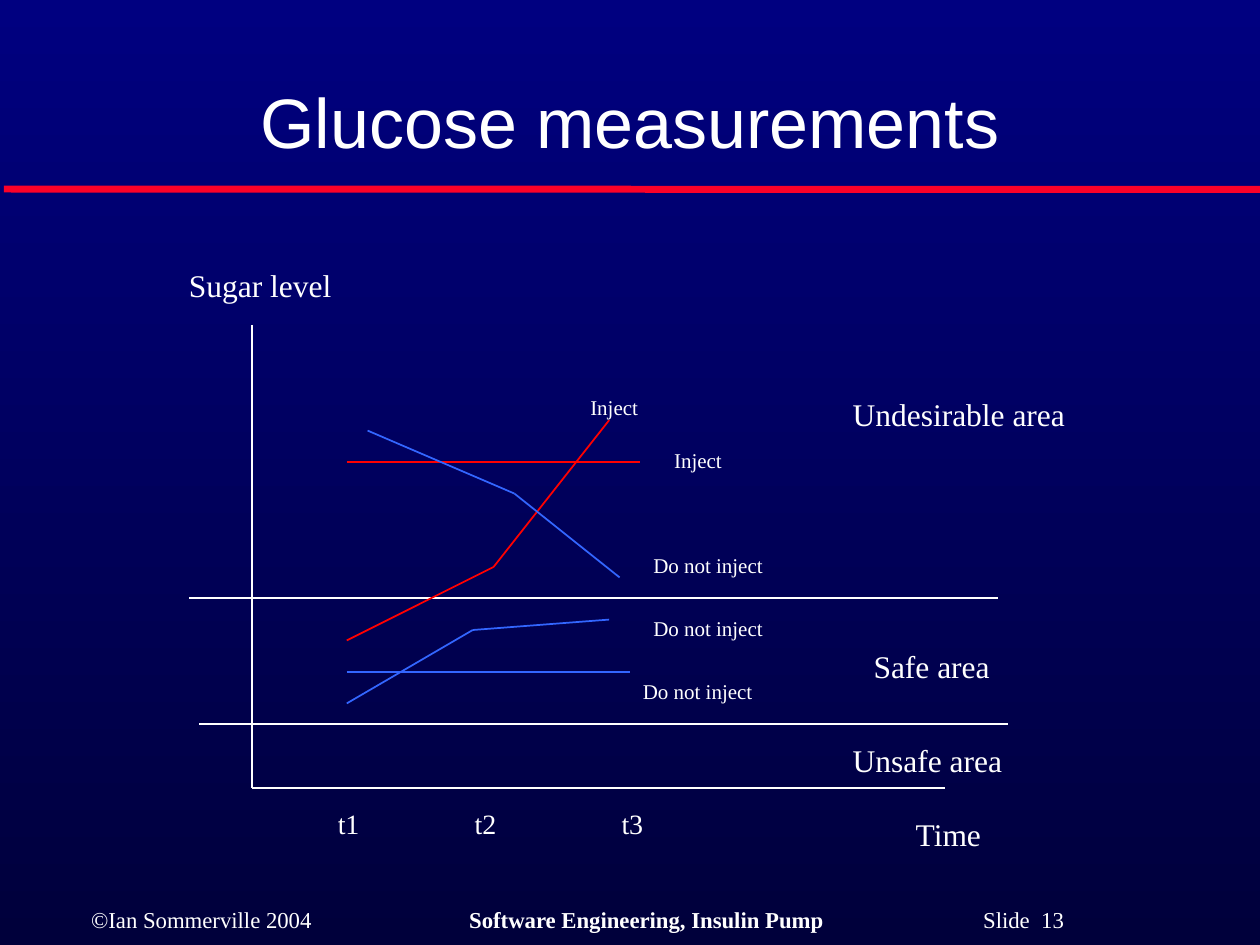
from dataclasses import dataclass
from itertools import pairwise

from lxml.etree import SubElement
from pptx import Presentation
from pptx.dml.color import RGBColor
from pptx.enum.shapes import MSO_CONNECTOR as Connector
from pptx.enum.text import MSO_ANCHOR as Anchor, PP_ALIGN as Align
from pptx.oxml.ns import qn
from pptx.util import Cm, Pt


@dataclass(frozen=True)
class Theme:
    top: str = "000080"
    bottom: str = "00003B"
    ink: str = "FFFFFF"
    rule: str = "FC0128"
    inject: str = "FF0000"
    hold: str = "3366FF"
    title_font: str = "Arial"
    body_font: str = "Times New Roman"
    title_size: int = 40
    area_size: int = 18
    tick_size: int = 16
    footer_size: int = 13
    note_size: int = 12
    rule_width: int = 4
    line_width: int = 1


THEME = Theme()

AXES = [(5.08, 6.55), (5.08, 15.88), (19.05, 15.88)]
THRESHOLDS = [
    [(3.81, 12.06), (20.11, 12.06)],
    [(4.02, 14.6), (20.32, 14.6)],
]
INJECT_TRENDS = [
    [(6.99, 12.91), (9.95, 11.43), (12.28, 8.47)],
    [(6.99, 9.31), (12.91, 9.31)],
]
HOLD_TRENDS = [
    [(6.99, 13.55), (9.95, 13.55), (12.7, 13.55)],
    [(7.41, 8.68), (10.37, 9.95), (12.49, 11.64)],
    [(6.99, 14.18), (9.53, 12.7), (12.28, 12.49)],
]
AREA_LABELS = [
    ("Sugar level", 3.56, 5.23, 3.6),
    ("Undesirable area", 16.94, 7.83, 5),
    ("Safe area", 17.36, 12.91, 3.1),
    ("Unsafe area", 16.94, 14.82, 3.7),
    ("Time", 18.21, 16.3, 2),
]
TICK_LABELS = [
    ("t1", 6.56, 16.13, 1.1),
    ("t2", 9.32, 16.13, 1.1),
    ("t3", 12.28, 16.13, 1.1),
]
TREND_NOTES = [
    ("Inject", 11.65, 7.83, 1.6),
    ("Inject", 13.34, 8.89, 1.6),
    ("Do not inject", 12.92, 11.01, 2.9),
    ("Do not inject", 12.92, 12.28, 2.9),
    ("Do not inject", 12.71, 13.55, 2.9),
]


def apply_format(target, values):
    for name, value in values.items():
        setattr(target, name, value)


def paint_background(slide):
    fill = slide.background.fill
    fill.gradient()
    fill.gradient_angle = 270
    for stop, position, color in zip(fill.gradient_stops, (0, 1), (THEME.top, THEME.bottom)):
        stop.position = position
        stop.color.rgb = RGBColor.from_string(color)


def add_path(slide, points, color, width=THEME.line_width):
    for start, end in pairwise(points):
        ends = [Cm(value) for value in (*start, *end)]
        connector = slide.shapes.add_connector(Connector.STRAIGHT, *ends)
        connector.line.width = Pt(width)
        connector.line.color.rgb = RGBColor.from_string(color)
        SubElement(connector.element.spPr, qn("a:effectLst"))


def add_text(slide, box, pieces, size, font=THEME.body_font, align=Align.LEFT, anchor=Anchor.TOP):
    shape = slide.shapes.add_textbox(*[Cm(value) for value in box])
    apply_format(shape.text_frame, {"word_wrap": True, "vertical_anchor": anchor})
    paragraph = shape.text_frame.paragraphs[0]
    paragraph.alignment = align
    for text, bold in pieces:
        run = paragraph.add_run()
        run.text = text
        apply_format(run.font, {"name": font, "size": Pt(size), "bold": bold})
        run.font.color.rgb = RGBColor.from_string(THEME.ink)
    return paragraph


def add_labels(slide, labels, size, height):
    for text, left, top, width in labels:
        add_text(slide, (left, top, width, height), [(text, False)], size)


def add_footer(slide):
    pieces = [
        ("©Ian Sommerville 2004\t", False),
        ("Software Engineering, Insulin Pump\t", True),
        ("Slide  13", False),
    ]
    paragraph = add_text(slide, (1.59, 18.14, 22.66, 0.81), pieces, THEME.footer_size)
    tab_list = SubElement(paragraph._p.get_or_add_pPr(), qn("a:tabLst"))
    for position in (7.62, 17.98):
        SubElement(tab_list, qn("a:tab"), pos=str(Cm(position)), algn="l")


def main():
    presentation = Presentation()
    apply_format(presentation, {"slide_width": Cm(25.4), "slide_height": Cm(19.05)})
    slide = presentation.slides.add_slide(presentation.slide_layouts[6])
    paint_background(slide)

    add_path(slide, [(0.08, 3.81), (25.4, 3.82)], THEME.rule, THEME.rule_width)
    add_footer(slide)
    add_text(slide, (1.86, 0.87, 21.67, 2.54), [("Glucose measurements", False)],
             THEME.title_size, THEME.title_font, Align.CENTER, Anchor.BOTTOM)

    for color, paths in (
        (THEME.ink, [AXES, *THRESHOLDS]),
        (THEME.inject, INJECT_TRENDS),
        (THEME.hold, HOLD_TRENDS),
    ):
        for points in paths:
            add_path(slide, points, color)

    add_labels(slide, AREA_LABELS, THEME.area_size, 1.02)
    add_labels(slide, TICK_LABELS, THEME.tick_size, 0.94)
    add_labels(slide, TREND_NOTES, THEME.note_size, 0.76)
    presentation.save("out.pptx")


if __name__ == "__main__":
    main()
